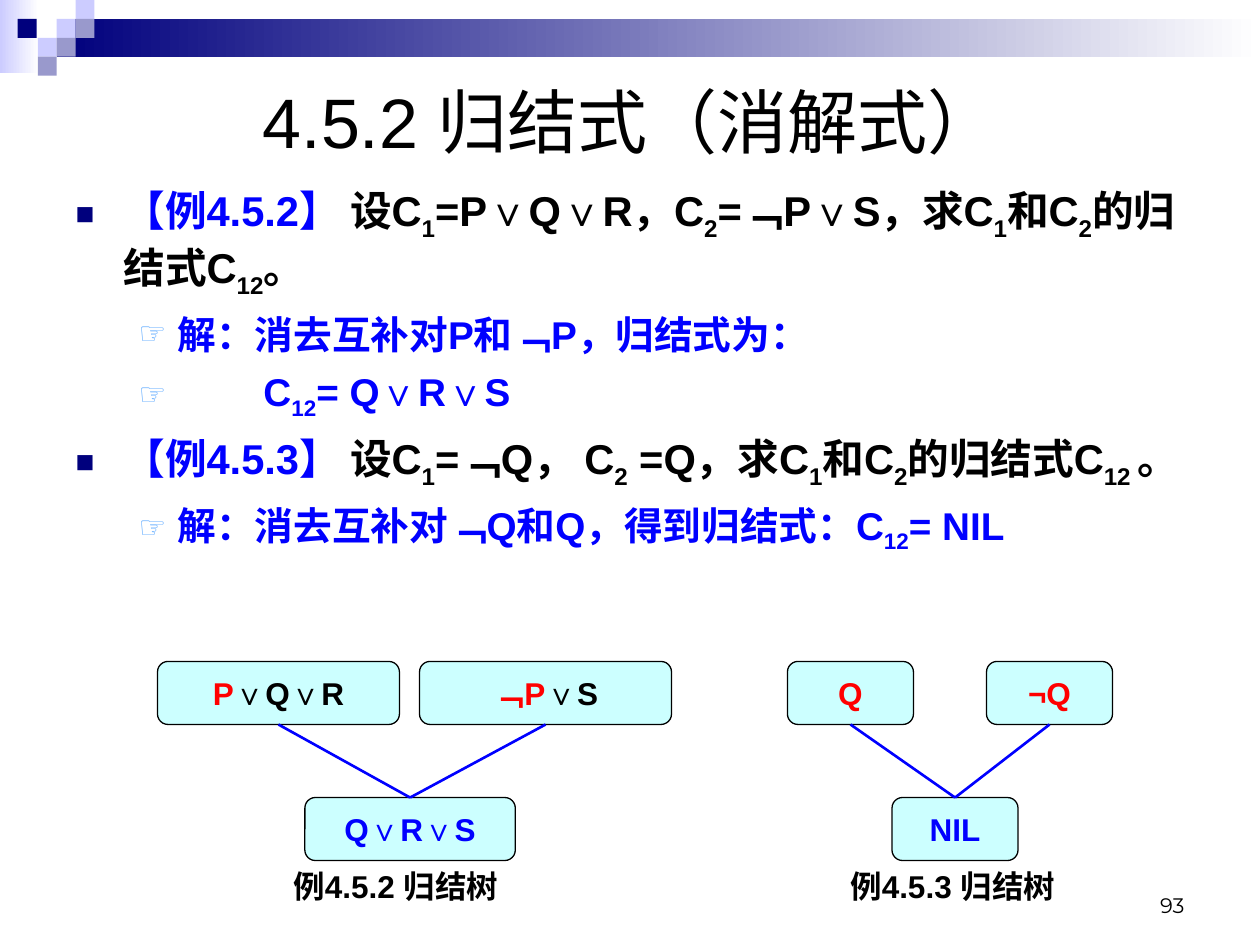
"""Build the slide on resolvents, with two worked examples and their resolution trees."""
from lxml import etree
from pptx import Presentation
from pptx.dml.color import RGBColor
from pptx.enum.shapes import MSO_CONNECTOR as CONN, MSO_SHAPE as SHAPE
from pptx.enum.text import MSO_ANCHOR as ANCHOR, MSO_AUTO_SIZE as AUTO, PP_ALIGN as ALIGN
from pptx.oxml.ns import qn
from pptx.util import Inches, Pt

THEME = {
    "black": "000000", "blue": "0000FF", "red": "FF0000", "box": "CCFFFF", "white": "FFFFFF",
    "navy": "00007D", "lilac": "CCCCFF", "mauve": "9999CC", "sky": "67AFFF",
    "title": 40, "example": 23.8, "answer": 22.1, "node": 18, "number": 12,
    "font": "Arial", "number_font": "Montserrat",
}


def rgb(name):
    return RGBColor.from_string(THEME[name])


def add_text(p, text, size, color, bold=True, font="font"):
    for i, part in enumerate(text.split("|")):
        if not part:
            continue
        r = p.add_run()
        r.text = part
        for key, value in {"size": Pt(THEME[size]), "bold": bold, "name": THEME[font]}.items():
            setattr(r.font, key, value)
        r.font.color.rgb = rgb(color)
        if i % 2:
            r._r.get_or_add_rPr().set("baseline", "-25000")


prs = Presentation()
prs.slide_width, prs.slide_height = Inches(10), Inches(7.5)
s = prs.slides.add_slide(prs.slide_layouts[1])

decor = [
    (0, 0, 0.31, 0.58, ("lilac", "white")),
    (0.45, 0.15, 9.55, 0.3, ("navy", "white")),
    (0.45, 0.15, 0.15, 0.15, ("lilac",)),
    (0.6, 0, 0.15, 0.15, ("lilac",)),
    (0.6, 0.15, 0.15, 0.15, ("mauve",)),
    (0.3, 0.3, 0.15, 0.15, ("lilac",)),
    (0.14, 0.15, 0.15, 0.15, ("navy",)),
    (0.45, 0.3, 0.15, 0.15, ("mauve",)),
    (0.3, 0.45, 0.15, 0.15, ("mauve",)),
]
for *place, colors in decor:
    sp = s.shapes.add_shape(SHAPE.RECTANGLE, *map(Inches, place))
    sp.shadow.inherit = False
    sp.line.fill.background()
    if len(colors) == 1:
        sp.fill.solid()
        sp.fill.fore_color.rgb = rgb(colors[0])
    else:
        sp.fill.gradient()
        sp.fill.gradient_angle = 0
        for stop, color, position in zip(sp.fill.gradient_stops, colors, (0, 1)):
            stop.color.rgb = rgb(color)
            stop.position = position

title, body = s.shapes.title, s.placeholders[1]
for sp, place, anchor in (
    (title, (0.5, 0.5, 9, 0.92), ANCHOR.MIDDLE),
    (body, (0.5, 1.42, 9, 3.67), ANCHOR.TOP),
):
    sp.left, sp.top, sp.width, sp.height = map(Inches, place)
    for key, value in {"auto_size": AUTO.NONE, "word_wrap": True, "vertical_anchor": anchor}.items():
        setattr(sp.text_frame, key, value)
p = title.text_frame.paragraphs[0]
p.alignment = ALIGN.CENTER
add_text(p, "4.5.2 归结式（消解式）", "title", "black", bold=False)

levels = [
    {"size": "example", "before": 7, "bullet": "■", "color": "navy", "percent": 75, "start": 0},
    {"size": "answer", "before": 6.5, "bullet": "☞", "color": "sky", "percent": 80, "start": 0.5},
]
lines = [
    (0, 0.38, "【例4.5.2】 ", "设C|1|=P∨Q∨R，C|2|=﹁P∨S，求C|1|和C|2|的归结式C|12|。"),
    (1, 0.81, "解：消去互补对P和﹁P，归结式为：", ""),
    (1, 1.49, "C|12|= Q∨R∨S", ""),
    (0, 0.38, "【例4.5.3】 ", "设C|1|=﹁Q， C|2| =Q，求C|1|和C|2|的归结式C|12 |。"),
    (1, 0.81, "解：消去互补对﹁Q和Q，得到归结式：C|12|= NIL", ""),
]
tf = body.text_frame
for i, (level, indent, lead, rest) in enumerate(lines):
    look = levels[level]
    p = tf.add_paragraph() if i else tf.paragraphs[0]
    p.level = level
    p.alignment = ALIGN.LEFT
    p.space_before = Pt(look["before"] if i else 0)
    pPr = p._p.get_or_add_pPr()
    pPr.set("marL", str(Inches(indent)))
    pPr.set("indent", str(Inches(look["start"] - indent)))
    clr = etree.SubElement(pPr, qn("a:buClr"))
    etree.SubElement(clr, qn("a:srgbClr"), val=THEME[look["color"]])
    etree.SubElement(pPr, qn("a:buSzPct"), val=str(look["percent"] * 1000))
    etree.SubElement(pPr, qn("a:buFont"), typeface=THEME["font"])
    etree.SubElement(pPr, qn("a:buChar"), char=look["bullet"])
    add_text(p, lead, look["size"], "blue")
    add_text(p, rest, look["size"], "black")

parent_top, child_top, node_height = 5.25, 6.33, 0.5
trees = [
    [
        (1.25, parent_top, 1.92, [("P", "red"), ("∨Q∨R", "black")]),
        (3.33, parent_top, 2, [("﹁P", "red"), ("∨S", "black")]),
        (2.42, child_top, 1.67, [("Q∨R∨S", "blue")]),
    ],
    [
        (6.25, parent_top, 1, [("Q", "red")]),
        (7.83, parent_top, 1, [("¬Q", "red")]),
        (7.08, child_top, 1, [("NIL", "blue")]),
    ],
]
for tree in trees:
    nodes = []
    for left, top, width, parts in tree:
        sp = s.shapes.add_shape(
            SHAPE.ROUNDED_RECTANGLE, Inches(left), Inches(top), Inches(width), Inches(node_height)
        )
        sp.shadow.inherit = False
        sp.fill.solid()
        sp.fill.fore_color.rgb = rgb("box")
        sp.line.color.rgb = rgb("black")
        sp.line.width = Pt(0.75)
        tf = sp.text_frame
        tf.word_wrap = False
        tf.vertical_anchor = ANCHOR.MIDDLE
        p = tf.paragraphs[0]
        p.alignment = ALIGN.CENTER
        for text, color in parts:
            add_text(p, text, "node", color)
        nodes.append(sp)
    *parents, child = nodes
    for parent in parents:
        link = s.shapes.add_connector(CONN.STRAIGHT, 0, 0, 0, 0)
        link.begin_connect(parent, 2)
        link.end_connect(child, 0)
        link.line.color.rgb = rgb("blue")
        link.line.width = Pt(1.5)
        etree.SubElement(link._element.spPr, qn("a:effectLst"))

labels = [
    (2.23, 1.93, 0.7, "例4.5.2 归结树", "node", True, "font", ALIGN.LEFT, ANCHOR.TOP),
    (6.65, 1.93, 0.7, "例4.5.3 归结树", "node", True, "font", ALIGN.LEFT, ANCHOR.TOP),
    (7.17, 2.33, 0.5, "93", "number", False, "number_font", ALIGN.RIGHT, ANCHOR.BOTTOM),
]
for left, width, height, text, size, bold, font, align, anchor in labels:
    box = s.shapes.add_textbox(Inches(left), Inches(6.83), Inches(width), Inches(height))
    tf = box.text_frame
    tf.word_wrap = True
    tf.vertical_anchor = anchor
    p = tf.paragraphs[0]
    p.alignment = align
    add_text(p, text, size, "black", bold, font)

prs.save("out.pptx")
